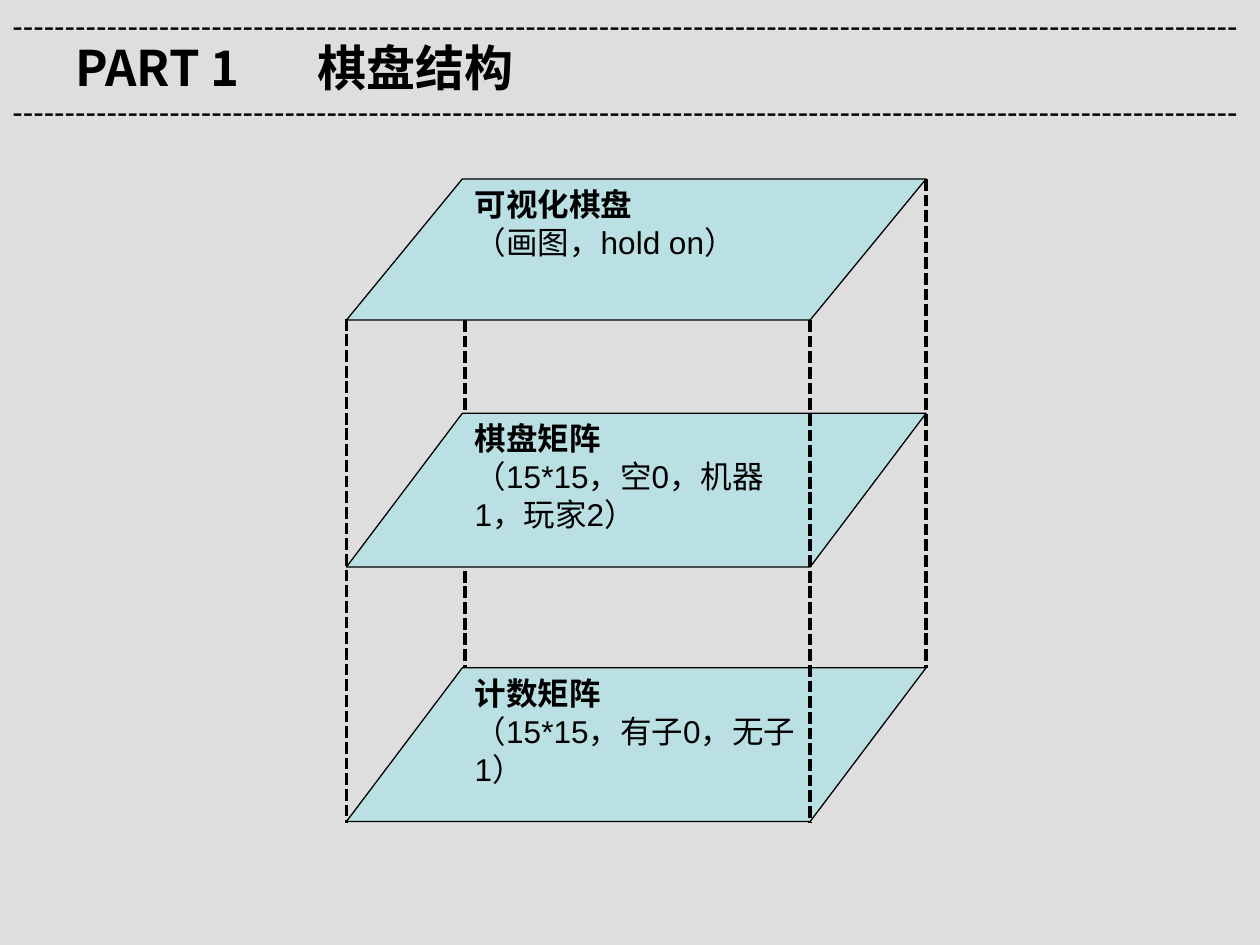
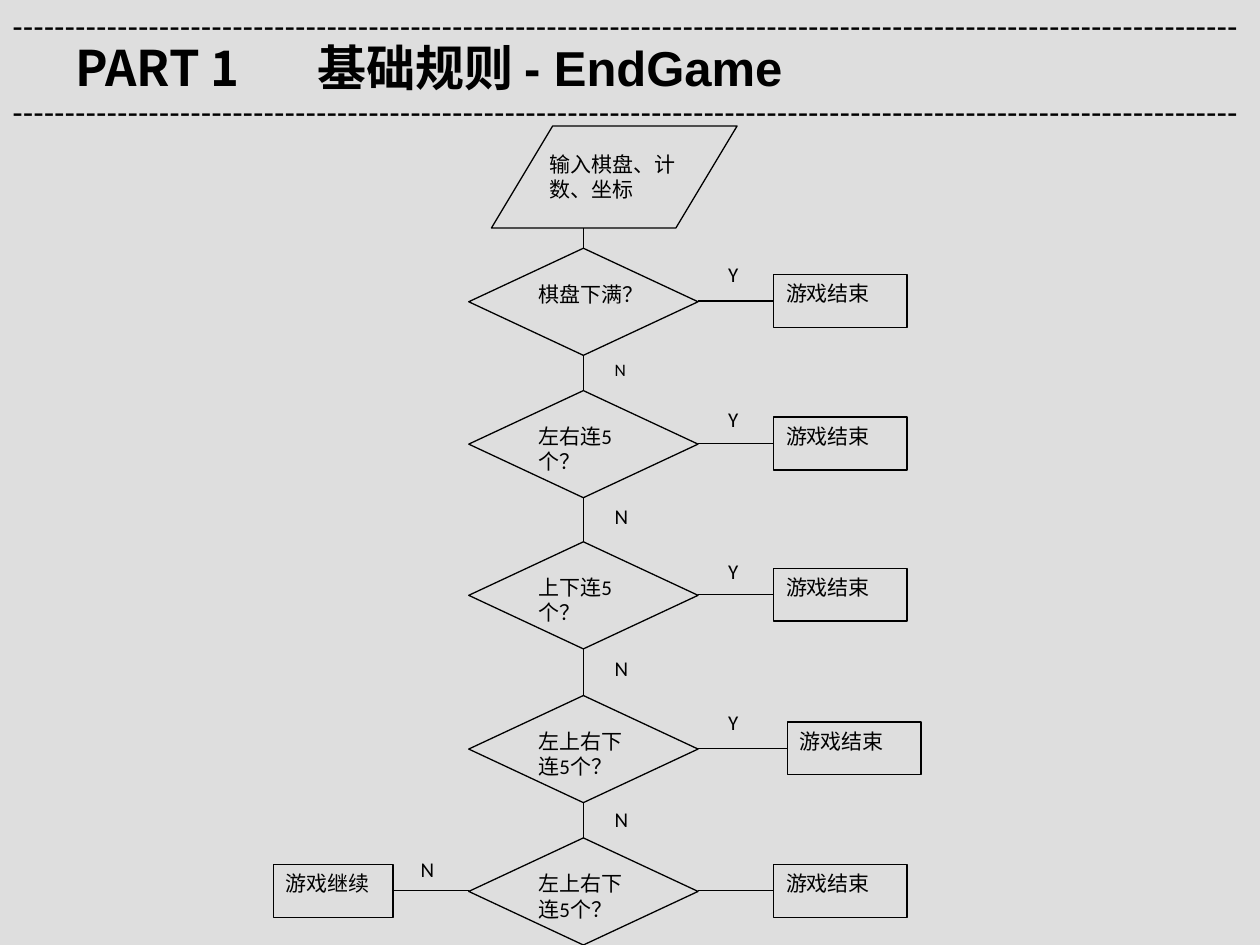
from lxml import etree
from pptx import Presentation
from pptx.dml.color import RGBColor
from pptx.enum.dml import MSO_LINE
from pptx.enum.shapes import MSO_CONNECTOR, MSO_SHAPE
from pptx.enum.text import MSO_ANCHOR, PP_ALIGN
from pptx.oxml.ns import qn
from pptx.util import Pt

PX = 9144
BLACK = RGBColor(0, 0, 0)
GREY = RGBColor(0xDE, 0xDE, 0xDE)
AQUA = RGBColor(0xBB, 0xE0, 0xE3)
CJK = "Noto Sans CJK SC"


def add_text(s, kind, x, y, w, h, lines, size=12, font="Calibri", bold=False, fill=None):
    box = [v * PX for v in (x, y, w, h)]
    if kind is None:
        sp = s.shapes.add_textbox(*box)
    else:
        sp = s.shapes.add_shape(kind, *box)
        sp.shadow.inherit = False
        sp.line.color.rgb = BLACK
        sp.line.width = Pt(0.75)
        if fill is None:
            sp.fill.background()
        else:
            sp.fill.solid()
            sp.fill.fore_color.rgb = fill
    tf = sp.text_frame
    tf.word_wrap = True
    tf.vertical_anchor = MSO_ANCHOR.TOP
    tf.text = "\n".join(lines)
    for i, p in enumerate(tf.paragraphs):
        p.alignment = PP_ALIGN.LEFT
        for r in p.runs:
            r.font.size = Pt(size)
            r.font.name = font
            r.font.bold = bold and i == 0
            r.font.color.rgb = BLACK
            etree.SubElement(r.font._element, qn("a:ea"), typeface=CJK)
    return sp


def add_line(s, x1, y1, x2, y2, width=0.75, dash=None):
    c = s.shapes.add_connector(MSO_CONNECTOR.STRAIGHT, *[v * PX for v in (x1, y1, x2, y2)])
    c.line.color.rgb = BLACK
    c.line.width = Pt(width)
    if dash:
        c.line.dash_style = dash
    etree.SubElement(c._element.spPr, qn("a:effectLst"))


prs = Presentation()
prs.slide_width = 1000 * PX
prs.slide_height = 750 * PX

slides = []
for title, width in (("棋盘结构", 208), ("基础规则 - EndGame", 450)):
    s = prs.slides.add_slide(prs.slide_layouts[6])
    s.background.fill.solid()
    s.background.fill.fore_color.rgb = GREY
    for y in (0, 68):
        add_text(s, None, 0, y, 1000, 40, ["-" * 117], 18, "Arial")
    add_text(s, None, 50, 25, 450, 57, ["PART 1"], 28, CJK, True)
    add_text(s, None, 242, 25, width, 57, [title], 28, "Arial", True)
    slides.append(s)
board, flow = slides

add_line(board, 369, 142, 369, 530, 2.25, MSO_LINE.SQUARE_DOT)
layers = [
    (142, 112, "可视化棋盘", "（画图，hold on）"),
    (328, 122, "棋盘矩阵", "（15*15，空0，机器1，玩家2）"),
    (530, 122, "计数矩阵", "（15*15，有子0，无子1）"),
]
for y, h, name, detail in layers:
    add_text(board, MSO_SHAPE.FLOWCHART_DATA, 275, y, 460, h, [name, detail],
             18, "Arial", True, AQUA)
for x, top, bottom in ((275, 253, 653), (735, 142, 530), (643, 254, 653)):
    add_line(board, x, top, x, bottom, 2.25, MSO_LINE.SQUARE_DOT)

sp = add_text(flow, MSO_SHAPE.PARALLELOGRAM, 390, 100, 195, 81, ["输入棋盘、计数、坐标"])
sp.adjustments[0] = 0.6
checks = [
    (197, 614, "棋盘下满？"),
    (310, 614, "左右连5个？"),
    (430, 614, "上下连5个？"),
    (552, 625, "左上右下连5个？"),
    (665, 614, "左上右下连5个？"),
]
previous_bottom = 181
for y, end_x, question in checks:
    add_line(flow, 463, previous_bottom, 463, y)
    add_text(flow, MSO_SHAPE.DIAMOND, 372, y, 182, 85, [question])
    add_line(flow, 554, y + 42, end_x, y + 42)
    add_text(flow, MSO_SHAPE.RECTANGLE, end_x, y + 21, 106, 42, ["游戏结束"])
    previous_bottom = y + 85
for y, size in ((203, 10), (318, 12), (438, 12), (558, 12)):
    add_text(flow, None, 568, y, 29, 30, ["Y"])
    add_text(flow, None, 478, y + 77, 29, 30, ["N"], size)

add_text(flow, None, 324, 675, 29, 30, ["N"])
add_text(flow, MSO_SHAPE.RECTANGLE, 217, 686, 95, 42, ["游戏继续"])
add_line(flow, 372, 707, 312, 707)

prs.save("out.pptx")
